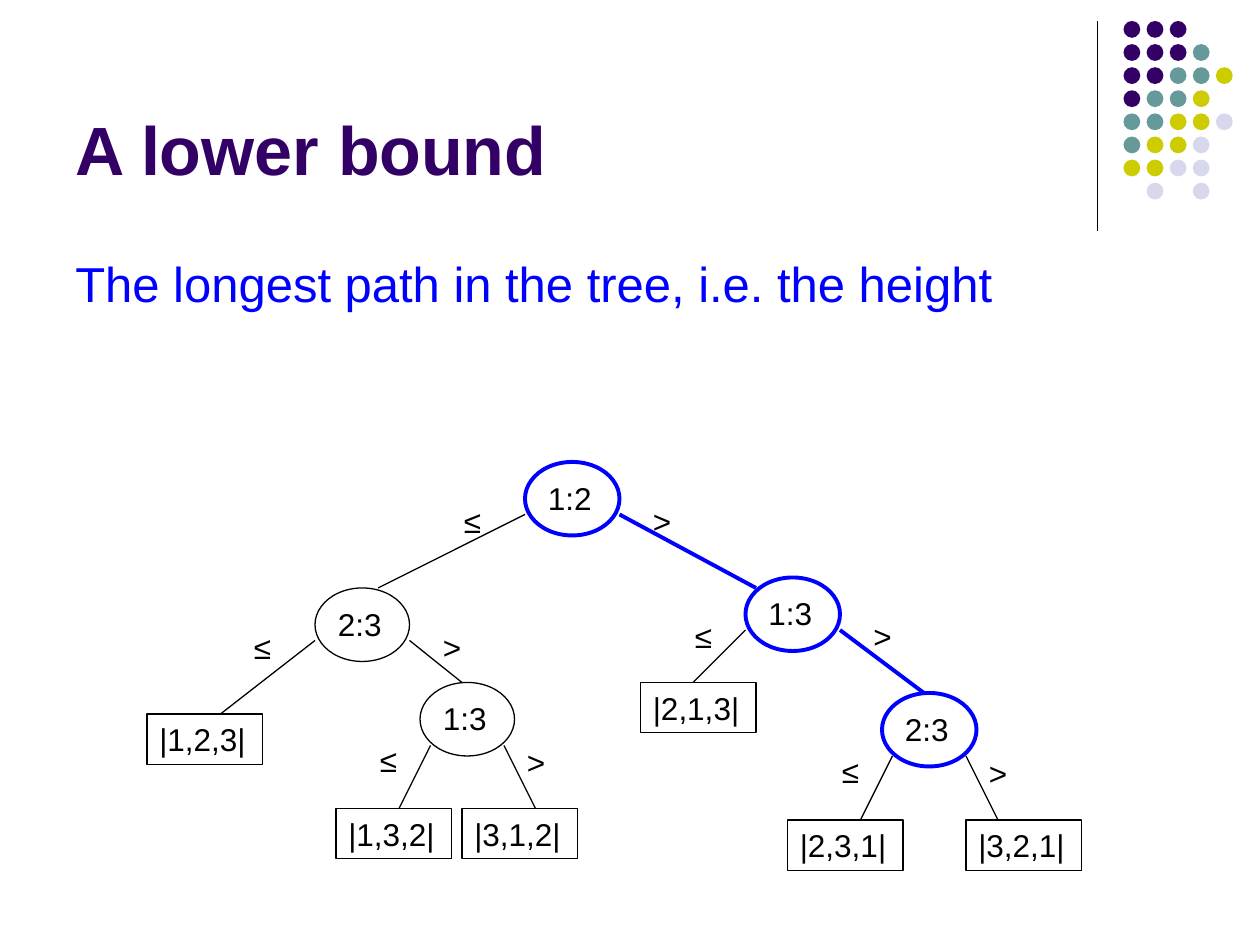
"""Build the decision-tree slide that shows the lower bound on sorting."""
from lxml.etree import SubElement
from pptx import Presentation
from pptx.dml.color import RGBColor
from pptx.enum.shapes import MSO_CONNECTOR, MSO_SHAPE
from pptx.enum.text import MSO_ANCHOR, PP_ALIGN
from pptx.oxml.ns import qn
from pptx.util import Emu, Pt

PX = Emu(7620)
BLACK, BLUE, PURPLE = "000000", "0000FF", "330066"
TEAL, LIME, LILAC = "669999", "CCCC00", "D8D8EC"

prs = Presentation()
prs.slide_width, prs.slide_height = 1200 * PX, 900 * PX
s = prs.slides.add_slide(prs.slide_layouts[6])


def add_text(text, box, size=18, color=BLACK, bold=False, anchor=MSO_ANCHOR.TOP, outline=False):
    left, top, width, height = [v * PX for v in box]
    if outline:
        sp = s.shapes.add_shape(MSO_SHAPE.RECTANGLE, left, top, width, height)
        sp.shadow.inherit = False
        sp.fill.background()
        sp.line.color.rgb = RGBColor.from_string(BLACK)
        sp.line.width = Pt(0.75)
    else:
        sp = s.shapes.add_textbox(left, top, width, height)
    tf = sp.text_frame
    tf.word_wrap = True
    tf.vertical_anchor = anchor
    p = tf.paragraphs[0]
    p.alignment = PP_ALIGN.LEFT
    r = p.add_run()
    r.text = text
    r.font.name = "Arial"
    r.font.size = Pt(size)
    r.font.bold = bold
    r.font.color.rgb = RGBColor.from_string(color)
    return tf


def add_line(start, end, color=BLACK):
    ends = [v * PX for v in (*start, *end)]
    ln = s.shapes.add_connector(MSO_CONNECTOR.STRAIGHT, *ends)
    ln.line.color.rgb = RGBColor.from_string(color)
    ln.line.width = Pt(2.25 if color == BLUE else 0.75)
    SubElement(ln._element.spPr, qn("a:effectLst"))


add_line((1045, 20), (1045, 220))
dot_colors = {"P": PURPLE, "T": TEAL, "L": LIME, "W": LILAC}
dot_rows = ["PPP", "PPPT", "PPTTL", "PTTL", "TTLLW", "TLLW", "LLWW", ".W.W"]
for row, marks in enumerate(dot_rows):
    for col, mark in enumerate(marks):
        if mark in dot_colors:
            dot = s.shapes.add_shape(MSO_SHAPE.OVAL, (1070 + 22 * col) * PX,
                                     (20 + 22 * row) * PX, 16 * PX, 16 * PX)
            dot.shadow.inherit = False
            dot.fill.solid()
            dot.fill.fore_color.rgb = RGBColor.from_string(dot_colors[mark])
            dot.line.fill.background()

add_text("A lower bound", (60, 16, 990, 170), 39, PURPLE, True, MSO_ANCHOR.BOTTOM)
tf = add_text("The longest path in the tree, i.e. the height", (60, 230, 1080, 575), 28, BLUE)
tf.margin_top = 11 * PX

nodes = [
    ("1:2", 500, 440, BLUE),
    ("2:3", 300, 560, BLACK),
    ("1:3", 710, 550, BLUE),
    ("1:3", 400, 650, BLACK),
    ("2:3", 840, 660, BLUE),
]
for text, x, y, color in nodes:
    add_text(text, (x + 10, y + 10, 80, 48))
    oval = s.shapes.add_shape(MSO_SHAPE.OVAL, x * PX, y * PX, 90 * PX, 70 * PX)
    oval.shadow.inherit = False
    oval.fill.background()
    oval.line.color.rgb = RGBColor.from_string(color)
    oval.line.width = Pt(2.25 if color == BLUE else 0.75)

branches = [
    ("≤", (430, 472), (500, 490), (360, 560), BLACK),
    (">", (610, 472), (590, 490), (720, 560), BLUE),
    ("≤", (230, 592), (300, 610), (210, 680), BLACK),
    (">", (410, 592), (390, 610), (440, 650), BLACK),
    ("≤", (650, 582), (710, 600), (660, 650), BLACK),
    (">", (820, 582), (800, 600), (880, 660), BLUE),
    ("≤", (350, 700), (410, 710), (380, 770), BLACK),
    (">", (490, 702), (480, 710), (510, 770), BLACK),
    ("≤", (790, 710), (850, 720), (820, 780), BLACK),
    (">", (930, 712), (920, 720), (950, 780), BLACK),
]
for sign, place, start, end, color in branches:
    add_line(start, end, color)
    add_text(sign, (*place, 50, 48))

leaves = [
    ("|1,2,3|", 140, 680),
    ("|1,3,2|", 320, 770),
    ("|3,1,2|", 440, 770),
    ("|2,3,1|", 750, 781),
    ("|3,2,1|", 920, 781),
    ("|2,1,3|", 610, 650),
]
for text, x, y in leaves:
    add_text(text, (x, y, 110, 48), outline=True)

prs.save("out.pptx")
